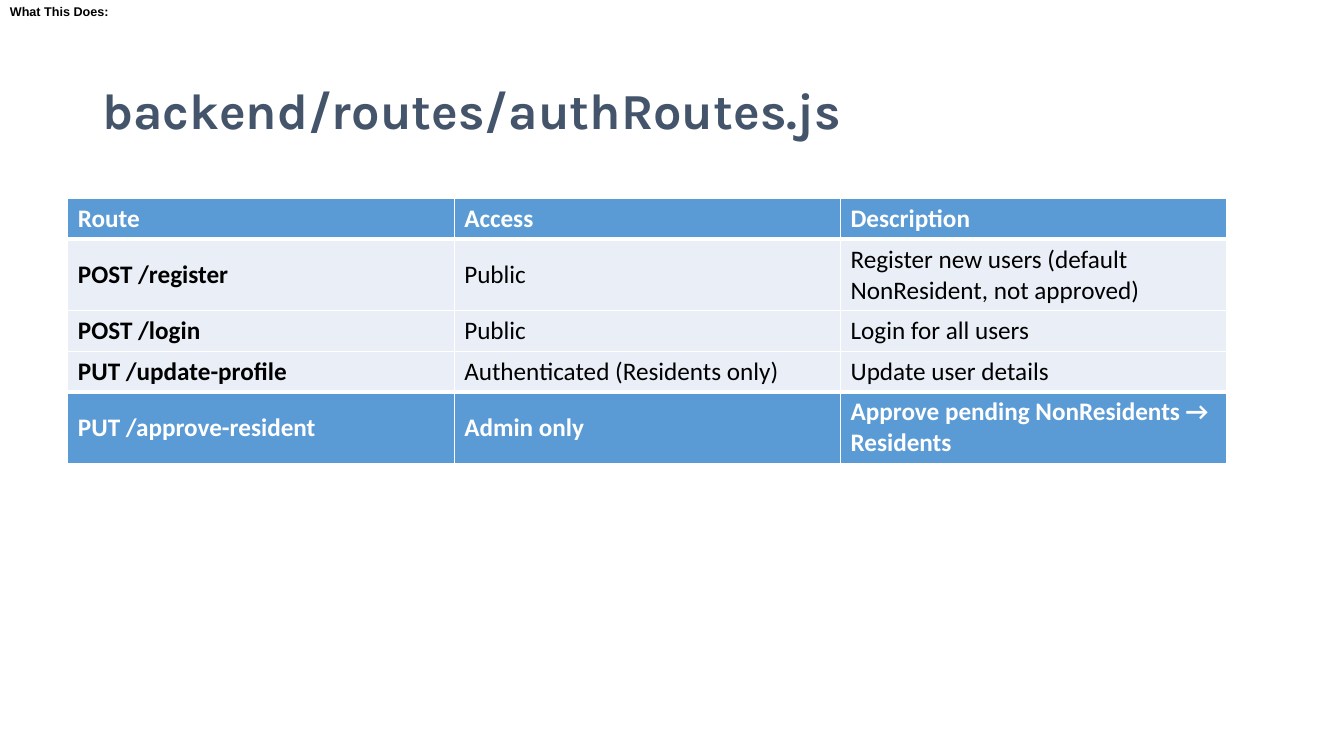
from dataclasses import dataclass

from lxml import etree
from pptx import Presentation
from pptx.dml.color import RGBColor
from pptx.enum import text
from pptx.oxml import ns
from pptx.util import Cm, Pt


@dataclass(frozen=True)
class Theme:
    """Colours, fonts and type sizes of the slide."""
    white: str = "FFFFFF"
    black: str = "000000"
    slate: str = "44546A"
    blue: str = "5B9BD5"
    pale: str = "EAEFF7"
    title_font: str = "Karla"
    table_font: str = "Calibri"
    label_font: str = "Arial"
    title_size: int = 36
    table_size: int = 18
    label_size: int = 9
    thin: int = 1
    thick: int = 3


THEME = Theme()
ROUTES = [
    ("Route", "Access", "Description"),
    ("POST /register", "Public", "Register new users (default NonResident, not approved)"),
    ("POST /login", "Public", "Login for all users"),
    ("PUT /update-profile", "Authenticated (Residents only)", "Update user details"),
    ("PUT /approve-resident", "Admin only", "Approve pending NonResidents → Residents"),
]
ROW_HEIGHTS = (1.02, 1.8, 1.02, 1.02, 1.8)


def add_run(p, words, font, size, color, bold=True):
    """Add one formatted run to a paragraph."""
    r = p.add_run()
    r.text = words
    r.font.name, r.font.size, r.font.bold = font, Pt(size), bold
    r.font.color.rgb = RGBColor.from_string(color)


def add_text(s, box, words, font, size, color, anchor, spacing=1.0):
    """Add a single-paragraph text box filling the given box."""
    tf = s.shapes.add_textbox(*map(Cm, box)).text_frame
    tf.word_wrap = True
    tf.vertical_anchor = anchor
    tf.margin_top = tf.margin_bottom = Cm(0.1)
    p = tf.paragraphs[0]
    p.line_spacing = spacing
    add_run(p, words, font, size, color)


def set_borders(cell, widths):
    """Draw white borders on the left, right, top and bottom of a cell."""
    tcPr = cell._tc.get_or_add_tcPr()
    for i, (side, width) in enumerate(zip("LRTB", widths)):
        ln = etree.Element(ns.qn(f"a:ln{side}"), w=str(Pt(width)))
        fill = etree.SubElement(ln, ns.qn("a:solidFill"))
        etree.SubElement(fill, ns.qn("a:srgbClr"), val=THEME.white)
        tcPr.insert(i, ln)


def add_routes_table(s, box):
    """Add the table of routes, with blue first and last rows, to the box."""
    last = len(ROUTES) - 1
    table = s.shapes.add_table(len(ROUTES), len(ROUTES[0]), *map(Cm, box)).table
    for column in table.columns:
        column.width = Cm(box[2] / len(ROUTES[0]))
    for i, (row, height) in enumerate(zip(ROUTES, ROW_HEIGHTS)):
        table.rows[i].height = Cm(height)
        strong = i in (0, last)
        top = THEME.thick if i == last else THEME.thin
        bottom = THEME.thick if i == 0 else THEME.thin
        if i == 1:
            top = THEME.thick
        if i == last - 1:
            bottom = THEME.thick
        for j, words in enumerate(row):
            cell = table.cell(i, j)
            cell.vertical_anchor = text.MSO_ANCHOR.MIDDLE
            cell.fill.solid()
            cell.fill.fore_color.rgb = RGBColor.from_string(THEME.blue if strong else THEME.pale)
            set_borders(cell, (THEME.thin, THEME.thin, top, bottom))
            add_run(cell.text_frame.paragraphs[0], words, THEME.table_font, THEME.table_size,
                    THEME.white if strong else THEME.black, strong or j == 0)


def main():
    """Build and save the slide."""
    prs = Presentation()
    prs.slide_width, prs.slide_height = Cm(33.87), Cm(19.05)
    s = prs.slides.add_slide(prs.slide_layouts[6])
    add_text(s, (2.33, 1.01, 29.21, 3.68), "backend/routes/authRoutes.js", THEME.title_font,
             THEME.title_size, THEME.slate, text.MSO_ANCHOR.MIDDLE, 0.9)
    add_routes_table(s, (1.71, 5.01, 29.21, sum(ROW_HEIGHTS)))
    add_text(s, (0, 0, 33.87, 1.27), "What This Does:", THEME.label_font,
             THEME.label_size, THEME.black, text.MSO_ANCHOR.TOP)
    prs.save("out.pptx")


if __name__ == "__main__":
    main()
